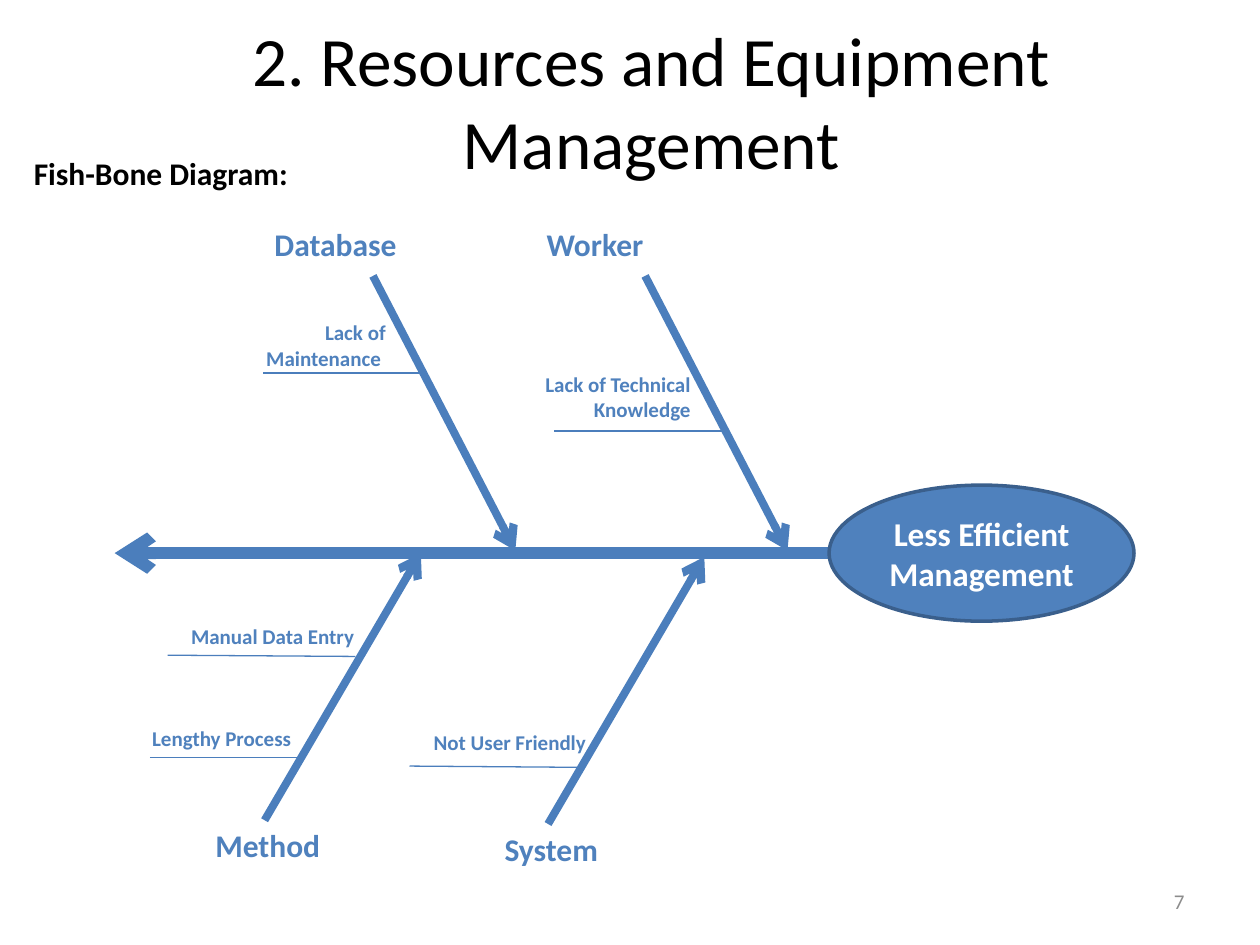
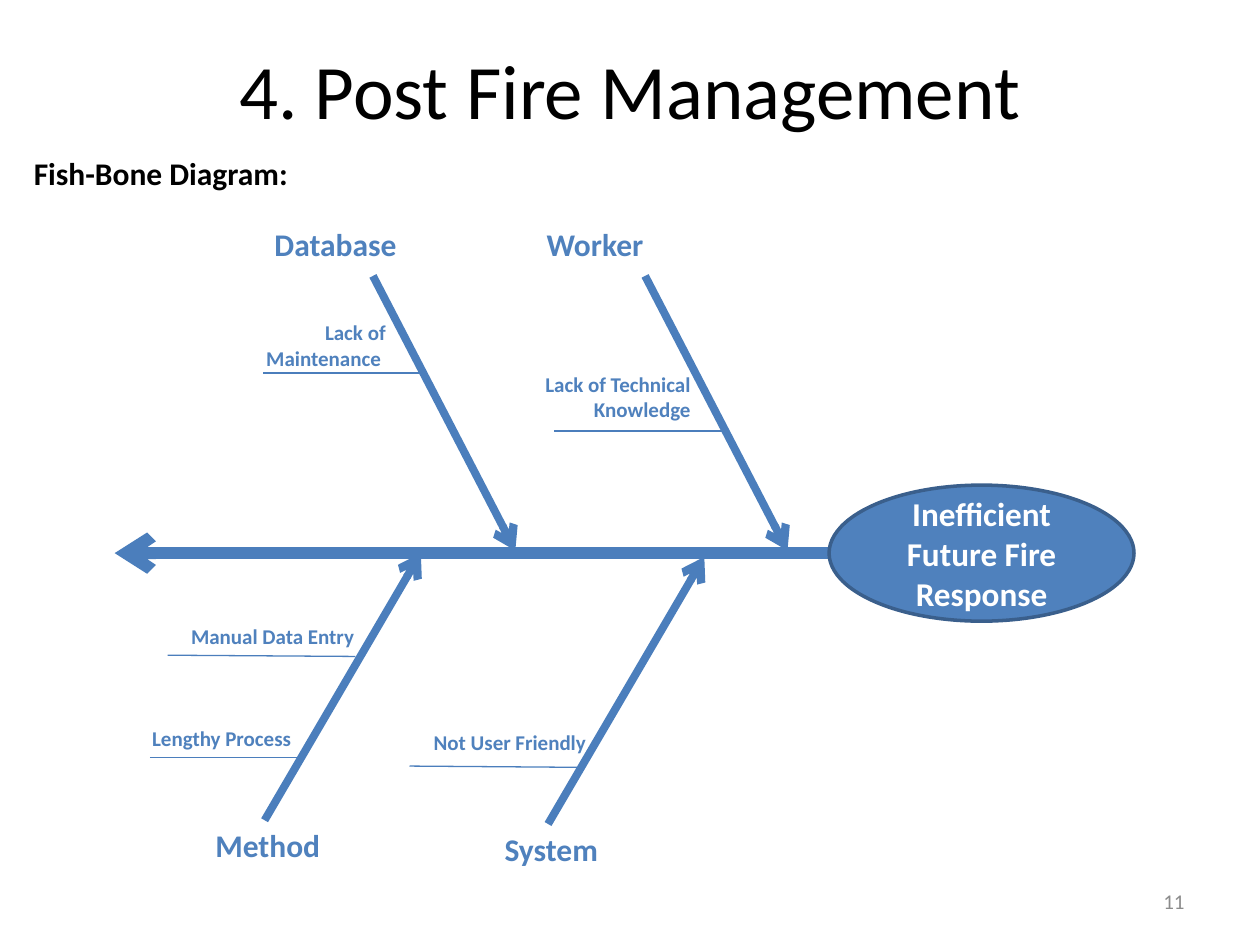
from lxml.etree import SubElement
from pptx import Presentation
from pptx.dml.color import RGBColor
from pptx.enum.shapes import MSO_CONNECTOR, MSO_SHAPE
from pptx.enum.text import MSO_ANCHOR, PP_ALIGN
from pptx.oxml.ns import qn
from pptx.util import Inches, Pt

BLUE, BONE, OUTLINE = "4F81BD", "4B7EBC", "3A5F8C"
BLACK, WHITE, GREY = "000000", "FFFFFF", "8C8C8C"
LEFT, CENTER, RIGHT = PP_ALIGN.LEFT, PP_ALIGN.CENTER, PP_ALIGN.RIGHT

# Slide content: title, title position, title size, effect, page number
slides = [
    ("2. Resources and Equipment Management", (0.67, 0.17), 39.6,
     "Less Efficient Management", "7"),
    ("4. Post Fire Management", (0.5, 0.08), 44,
     "Inefficient Future Fire Response", "11"),
]

# Categories: name, label position, alignment, bone start, bone run and rise
categories = [
    ("Database", (2.08, 1.74), LEFT, (2.96, 2.19), (1.13, 2.18)),
    ("Worker", (4.24, 1.74), LEFT, (5.12, 2.19), (1.13, 2.18)),
    ("Method", (1.25, 6.51), CENTER, (2.1, 6.51), (1.24, -2.12)),
    ("System", (3.5, 6.54), CENTER, (4.35, 6.54), (1.24, -2.12)),
]

# Causes: text, label position, label height, line start, line end
causes = [
    ("Lack of Maintenance ", (1.58, 2.49), 0.5, (2.09, 2.96), (3.33, 2.96)),
    ("Lack of Technical Knowledge", (4, 2.9), 0.5, (4.4, 3.42), (5.75, 3.42)),
    ("Manual Data Entry", (1.33, 4.9), 0.3, (1.33, 5.2), (2.82, 5.21)),
    ("Lengthy Process", (0.83, 5.71), 0.3, (1.19, 6.01), (2.41, 6.01)),
    ("Not User Friendly", (3.17, 5.74), 0.3, (3.25, 6.08), (4.58, 6.09)),
]


def write(sp, text, size, color, bold=True, align=LEFT,
          anchor=MSO_ANCHOR.TOP, wrap=True):
    tf = sp.text_frame
    tf.word_wrap = wrap
    tf.vertical_anchor = anchor
    p = tf.paragraphs[0]
    p.text = text
    p.alignment = align
    p.font.name = "Calibri"
    p.font.size = Pt(size)
    p.font.bold = bold
    p.font.color.rgb = RGBColor.from_string(color)


def add_line(s, start, end, width, arrow=False):
    line = s.shapes.add_connector(
        MSO_CONNECTOR.STRAIGHT, *[Inches(v) for v in (*start, *end)])
    line.line.color.rgb = RGBColor.from_string(BONE)
    line.line.width = Pt(width)
    if arrow:
        SubElement(line.line._get_or_add_ln(), qn("a:tailEnd"), type="arrow")
    SubElement(line._element.spPr, qn("a:effectLst"))


prs = Presentation()
prs.slide_width, prs.slide_height = Inches(10), Inches(7.5)

for title, (x, y), title_size, effect, number in slides:
    s = prs.slides.add_slide(prs.slide_layouts[6])

    # Title, subtitle and page number
    sp = s.shapes.add_textbox(Inches(x), Inches(y), Inches(9), Inches(1.25))
    write(sp, title, title_size, BLACK, False, CENTER, MSO_ANCHOR.MIDDLE)
    sp = s.shapes.add_textbox(Inches(0.17), Inches(1.17), Inches(2.24), Inches(0.4))
    write(sp, "Fish-Bone Diagram:", 18, BLACK, wrap=False)
    sp = s.shapes.add_textbox(Inches(7.17), Inches(6.95), Inches(2.33), Inches(0.4))
    write(sp, number, 12, GREY, False, RIGHT, MSO_ANCHOR.MIDDLE)

    # Spine and effect
    add_line(s, (6.58, 4.39), (0.91, 4.39), 6.75, arrow=True)
    sp = s.shapes.add_shape(MSO_SHAPE.OVAL, Inches(6.58), Inches(3.85),
                            Inches(2.42), Inches(1.08))
    sp.shadow.inherit = False
    sp.fill.solid()
    sp.fill.fore_color.rgb = RGBColor.from_string(BLUE)
    sp.line.color.rgb = RGBColor.from_string(OUTLINE)
    sp.line.width = Pt(2)
    write(sp, effect, 19, WHITE, align=CENTER, anchor=MSO_ANCHOR.MIDDLE)

    # Category bones
    for name, (x, y), align, start, (run, rise) in categories:
        add_line(s, start, (start[0] + run, start[1] + rise), 4.5, arrow=True)
        sp = s.shapes.add_textbox(Inches(x), Inches(y), Inches(1.75), Inches(0.4))
        write(sp, name, 18, BLUE, align=align)

    # Causes
    for text, (x, y), height, start, end in causes:
        sp = s.shapes.add_textbox(Inches(x), Inches(y), Inches(1.58), Inches(height))
        write(sp, text, 12, BLUE, align=RIGHT)
        add_line(s, start, end, 0.75)

prs.save("out.pptx")
